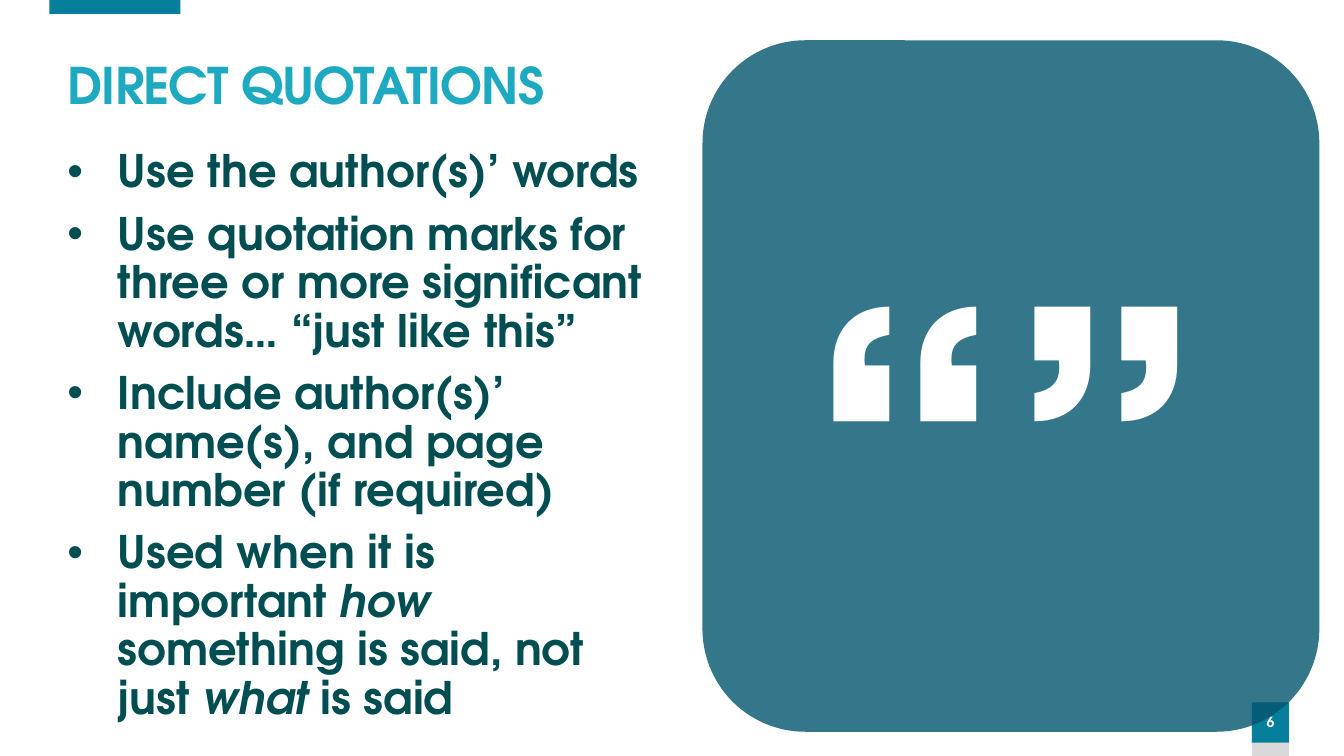
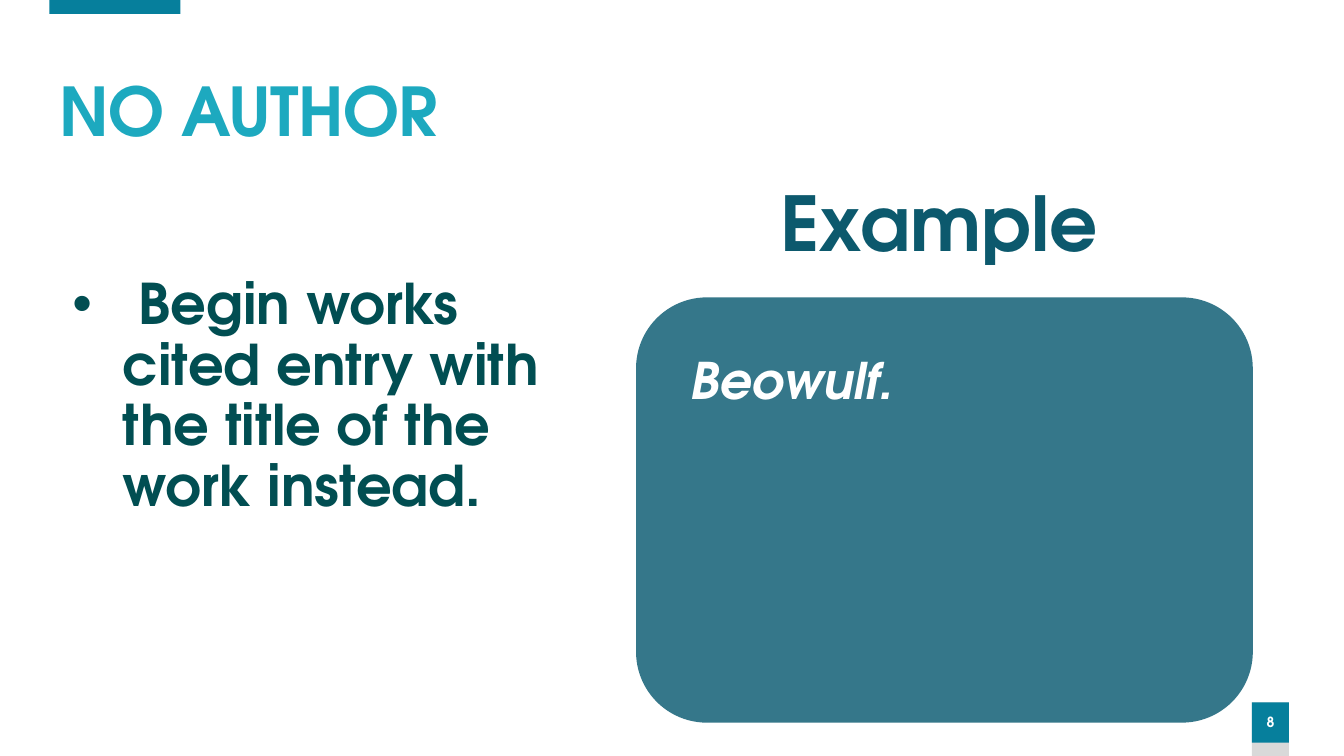
from dataclasses import dataclass

from lxml import etree
from pptx import Presentation
from pptx.dml.color import RGBColor
from pptx.enum import shapes, text
from pptx.oxml import ns
from pptx.util import Pt


@dataclass(frozen=True)
class Theme:
    font: str = "TeX Gyre Adventor"
    title: str = "1DA9BF"
    body: str = "014E52"
    heading: str = "0C596D"
    accent: str = "067F9C"
    panel: str = "03556D"
    panel_opacity: int = 80
    grey: str = "D9D9D9"
    white: str = "FFFFFF"
    number_size: float = 10
    body_size: float = 32
    example_size: float = 36
    large_body_size: float = 40
    large_title_size: float = 48
    heading_size: float = 54
    quote_size: float = 300
    title_tracking: float = -0.6
    line_spacing: float = 0.9
    paragraph_gap: float = 10
    bullet_indent: float = 36


THEME = Theme()


@dataclass(frozen=True)
class Area:
    left: float
    top: float
    width: float
    height: float

    def lengths(self) -> tuple:
        return Pt(self.left), Pt(self.top), Pt(self.width), Pt(self.height)


@dataclass(frozen=True)
class Span:
    words: str
    italic: bool = False


@dataclass(frozen=True)
class Style:
    size: float
    color: str
    centred: bool = False
    bulleted: bool = False


TOP_BAR = Area(35.3, 0, 93.6, 10)
BADGE_FOOT = Area(894.2, 501.8, 26.6, 38.2)
BADGE = Area(894.2, 501.8, 26.6, 28.8)


# Text helpers
def add_bullet(para) -> None:
    properties = para._p.get_or_add_pPr()
    properties.set("marL", str(Pt(THEME.bullet_indent)))
    properties.set("indent", str(-Pt(THEME.bullet_indent)))
    bullet_font = etree.SubElement(properties, ns.qn("a:buFont"))
    bullet_font.set("typeface", "Arial")
    etree.SubElement(properties, ns.qn("a:buChar")).set("char", "•")


def write_paragraphs(frame, paragraphs: list[list[Span]], style: Style) -> None:
    frame.word_wrap = True
    for index, spans in enumerate(paragraphs):
        para = frame.add_paragraph() if index else frame.paragraphs[0]
        if style.bulleted:
            add_bullet(para)
        para.alignment = text.PP_ALIGN.CENTER if style.centred else text.PP_ALIGN.LEFT
        para.line_spacing = THEME.line_spacing
        para.space_before = Pt(THEME.paragraph_gap if index else 0)
        for span in spans:
            run = para.add_run()
            run.text = span.words
            run.font.name = THEME.font
            run.font.size = Pt(style.size)
            run.font.bold = True
            run.font.italic = span.italic
            run.font.color.rgb = RGBColor.from_string(style.color)


def add_text(page, area: Area, paragraphs: list[list[Span]], style: Style) -> None:
    box = page.shapes.add_textbox(*area.lengths())
    write_paragraphs(box.text_frame, paragraphs, style)


# Shape helpers
def add_block(page, area: Area, color: str, kind=shapes.MSO_SHAPE.RECTANGLE):
    block = page.shapes.add_shape(kind, *area.lengths())
    block.shadow.inherit = False
    block.fill.solid()
    block.fill.fore_color.rgb = RGBColor.from_string(color)
    block.line.fill.background()
    return block


def add_panel(page, area: Area) -> None:
    panel = add_block(page, area, THEME.panel, shapes.MSO_SHAPE.ROUNDED_RECTANGLE)
    color = panel._element.spPr.find(ns.qn("a:solidFill"))[0]
    alpha = etree.SubElement(color, ns.qn("a:alpha"))
    alpha.set("val", str(THEME.panel_opacity * 1000))


# Parts every slide shares
def add_page(deck, title: str, title_area: Area, title_size: float, number: int):
    page = deck.slides.add_slide(deck.slide_layouts[5])
    add_block(page, TOP_BAR, THEME.accent)

    heading = page.shapes.title
    heading.left, heading.top, heading.width, heading.height = title_area.lengths()
    frame = heading.text_frame
    frame.auto_size = text.MSO_AUTO_SIZE.NONE
    frame.vertical_anchor = text.MSO_ANCHOR.MIDDLE
    write_paragraphs(frame, [[Span(title)]], Style(title_size, THEME.title))
    for run in frame.paragraphs[0].runs:
        run.font._element.set("spc", str(round(THEME.title_tracking * 100)))

    add_block(page, BADGE_FOOT, THEME.grey)
    badge = add_block(page, BADGE, THEME.accent)
    badge.text_frame.margin_left = badge.text_frame.margin_right = 0
    badge.text_frame.vertical_anchor = text.MSO_ANCHOR.MIDDLE
    write_paragraphs(badge.text_frame, [[Span(str(number))]],
                     Style(THEME.number_size, THEME.white, centred=True))
    return page


def build_direct_quotations(deck) -> None:
    page = add_page(deck, "DIRECT QUOTATIONS", Area(41, 39.6, 406.8, 46.8),
                    THEME.example_size, 6)
    points = [
        [Span("Use the author(s)’ words")],
        [Span("Use quotation marks for three or more significant words… “just like this”")],
        [Span("Include author(s)’ name(s), and page number (if required)")],
        [Span("Used when it is important "), Span("how", italic=True),
         Span(" something is said, not just "), Span("what ", italic=True),
         Span("is said")],
    ]
    add_text(page, Area(41, 103, 431.3, 414), points,
             Style(THEME.body_size, THEME.body, bulleted=True))

    # Panel with large quotation marks
    add_panel(page, Area(501.8, 28.8, 440.6, 493.9))
    add_text(page, Area(501.8, 178.6, 433.4, 340), [[Span("“”")]],
             Style(THEME.quote_size, THEME.white, centred=True))


def build_no_author(deck) -> None:
    page = add_page(deck, "NO AUTHOR", Area(35.3, 51.8, 801.4, 59.8),
                    THEME.large_title_size, 8)
    advice = " Begin works cited entry with the title of the work instead."
    add_text(page, Area(44.6, 194, 397.4, 184), [[Span(advice)]],
             Style(THEME.large_body_size, THEME.body, bulleted=True))

    # Example panel
    add_panel(page, Area(454.3, 212.4, 440.6, 303.8))
    add_text(page, Area(454.3, 129.6, 433.4, 66), [[Span("Example")]],
             Style(THEME.heading_size, THEME.heading, centred=True))
    add_text(page, Area(486, 250.6, 393.1, 46), [[Span("Beowulf.", italic=True)]],
             Style(THEME.example_size, THEME.white))


def main() -> None:
    deck = Presentation()
    deck.slide_width, deck.slide_height = Pt(960), Pt(540)
    build_direct_quotations(deck)
    build_no_author(deck)
    deck.save("out.pptx")


if __name__ == "__main__":
    main()
